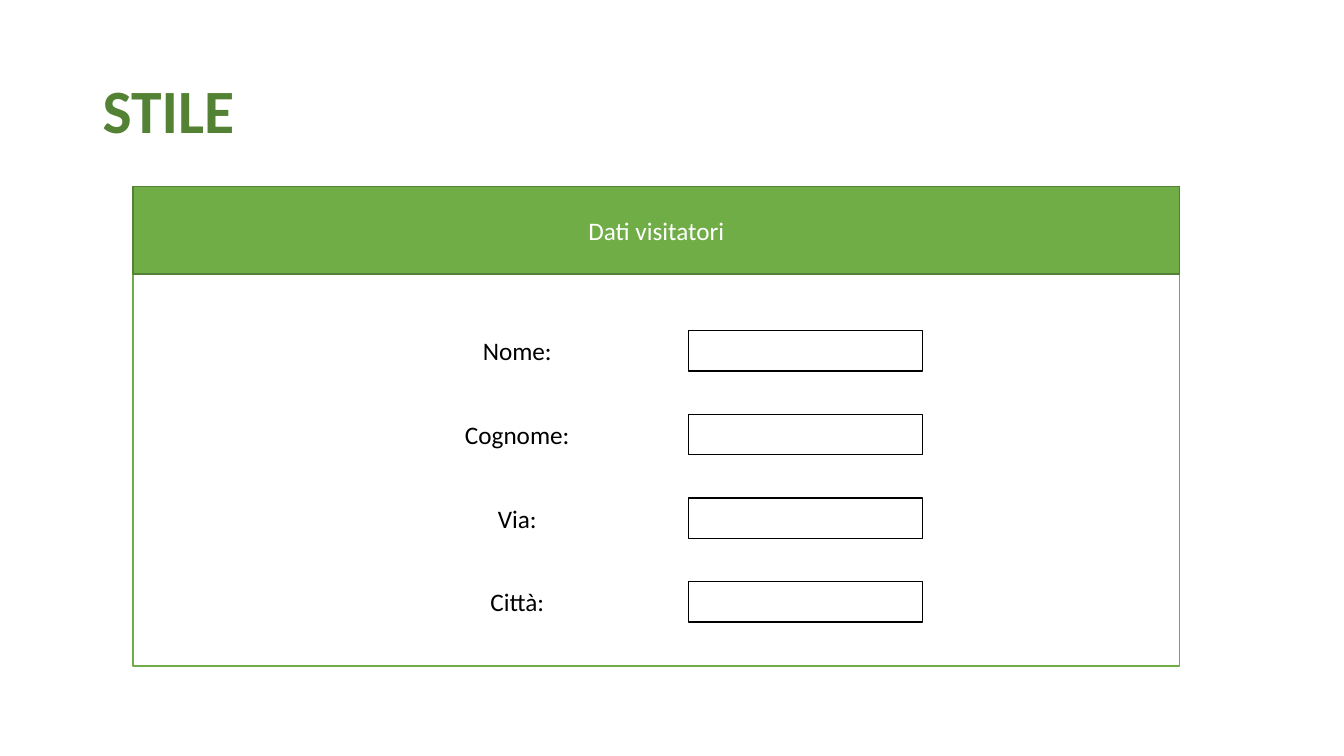
"""Builds a slide with a visitor data form."""
import pptx
import pptx.dml.color
import pptx.enum.shapes
import pptx.enum.text
import pptx.util

COLOURS = {
    "title": "548235",
    "green": "70AD47",
    "header_line": "538035",
    "white": "FFFFFF",
    "black": "000000",
}
FONT = "Calibri"
FIELDS = ["Nome:", "Cognome:", "Via:", "Città:"]
HEADER_HEIGHT = 0.87
FIRST_ROW_OFFSET = 1.43
ROW_PITCH = 0.83
FIELD_WIDTH, FIELD_HEIGHT = 2.32, 0.4
LABEL_OFFSET, ENTRY_OFFSET = 2.65, 5.51


def colour(name):
    """Return the named colour as an RGB value."""
    return pptx.dml.color.RGBColor.from_string(COLOURS[name])


def write(shape, text, size, text_colour, bold=False):
    """Put one vertically centred line of text in a shape."""
    text_frame = shape.text_frame
    text_frame.text = text
    text_frame.word_wrap = True
    text_frame.vertical_anchor = pptx.enum.text.MSO_ANCHOR.MIDDLE
    font = text_frame.paragraphs[0].runs[0].font
    font.name = FONT
    font.size = pptx.util.Pt(size)
    font.bold = bold
    font.color.rgb = colour(text_colour)
    return text_frame.paragraphs[0]


def add_box(slide, box, fill, line=None, text=None, text_colour="black"):
    """Add a rectangle with an optional outline and centred text."""
    shape = slide.shapes.add_shape(
        pptx.enum.shapes.MSO_SHAPE.RECTANGLE, *map(pptx.util.Inches, box))
    shape.shadow.inherit = False
    shape.fill.solid()
    shape.fill.fore_color.rgb = colour(fill)
    if line:
        shape.line.color.rgb = colour(line)
        shape.line.width = pptx.util.Pt(1)
    else:
        shape.line.fill.background()
    if text:
        paragraph = write(shape, text, 18, text_colour)
        paragraph.alignment = pptx.enum.text.PP_ALIGN.CENTER


def add_title(slide, box, text):
    """Add the slide title."""
    shape = slide.shapes.add_textbox(*map(pptx.util.Inches, box))
    paragraph = write(shape, text, 44, "title", bold=True)
    paragraph.line_spacing = 0.9


def add_form(slide, box, heading, fields):
    """Add a framed form with a header band and rows of labelled entries."""
    left, top, width, height = box
    add_box(slide, box, "white", "green")
    add_box(slide, (left, top, width, HEADER_HEIGHT), "green", "header_line",
            heading, "white")
    for row, label in enumerate(fields):
        row_top = top + FIRST_ROW_OFFSET + row * ROW_PITCH
        size = (FIELD_WIDTH, FIELD_HEIGHT)
        add_box(slide, (left + LABEL_OFFSET, row_top, *size), "white", text=label)
        add_box(slide, (left + ENTRY_OFFSET, row_top, *size), "white", "black")


def main():
    """Build and save the presentation."""
    presentation = pptx.Presentation()
    presentation.slide_width = pptx.util.Inches(13.33)
    presentation.slide_height = pptx.util.Inches(7.5)
    slide = presentation.slides.add_slide(presentation.slide_layouts[6])
    add_title(slide, (0.92, 0.4, 11.5, 1.45), "STILE")
    add_form(slide, (1.32, 1.85, 10.38, 4.76), "Dati visitatori", FIELDS)
    presentation.save("out.pptx")


if __name__ == "__main__":
    main()
